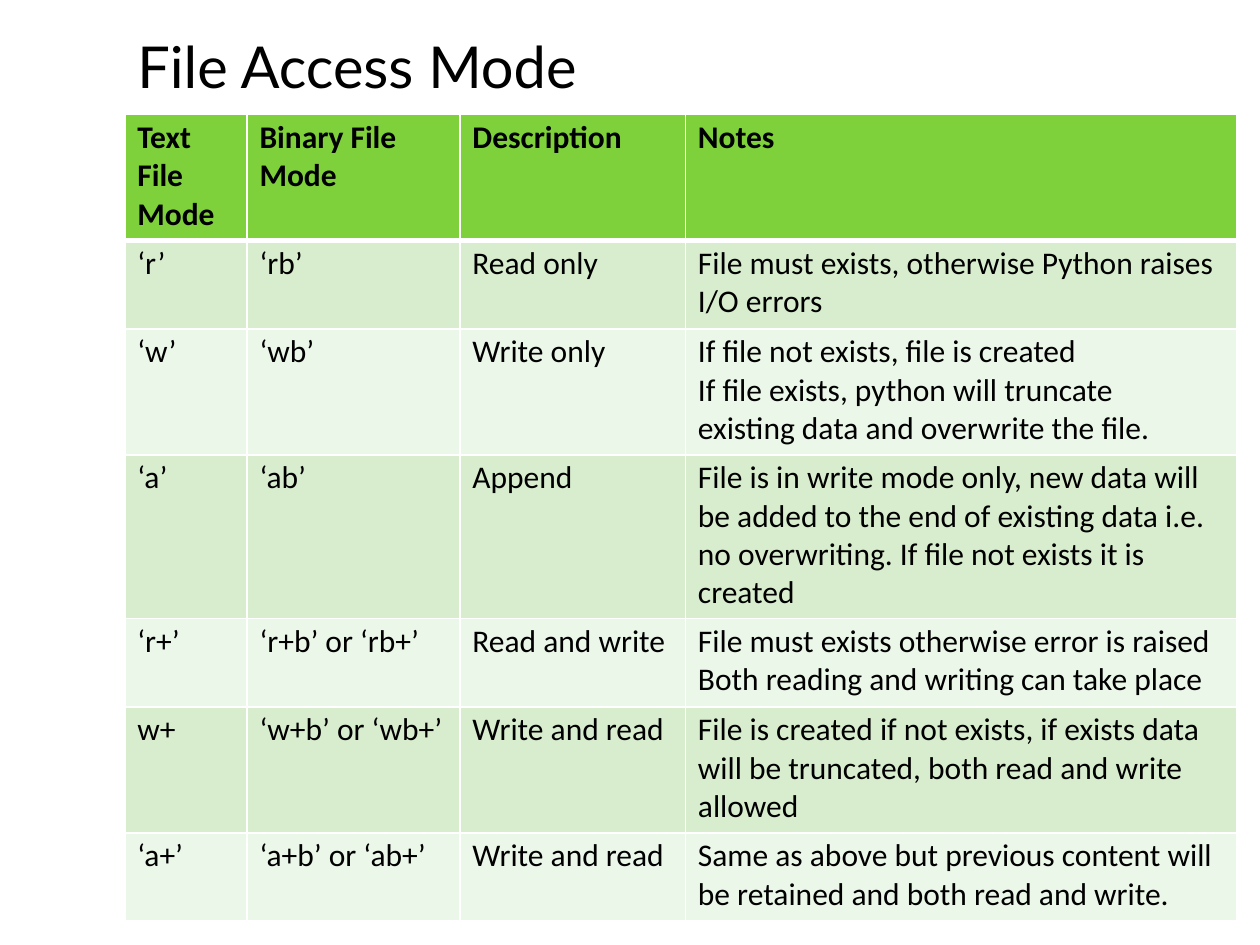
from lxml.etree import SubElement
from pptx import Presentation
from pptx.dml.color import RGBColor
from pptx.enum.text import MSO_ANCHOR, PP_ALIGN
from pptx.oxml.ns import qn
from pptx.util import Inches, Pt

COLUMN_WIDTHS = [0.97, 1.69, 1.79, 4.38]
ROW_HEIGHTS = [1, 0.7, 1, 1.3, 0.7, 1, 0.7]
HEADER_FILL = "7ED13A"
BAND_FILLS = ["EBF7E8", "D7EDCE"]

# One row per access mode; \n starts a paragraph, \v breaks a line
ROWS = [
    ["Text File Mode", "Binary File Mode", "Description", "Notes"],
    ["‘r’", "‘rb’", "Read only",
     "File must exists, otherwise Python raises\nI/O errors"],
    ["‘w’", "‘wb’", "Write only",
     "If file not exists, file is created\n"
     "If file exists, python will truncate \vexisting data and overwrite the file."],
    ["‘a’", "‘ab’", "Append",
     "File is in write mode only, new data will be added to the end of "
     "existing data i.e. no overwriting. If file not exists it is created"],
    ["‘r+’", "‘r+b’ or ‘rb+’", "Read and write",
     "File must exists otherwise error is raised "
     "Both reading and writing can take place"],
    ["w+", "‘w+b’ or ‘wb+’", "Write and read",
     "File is created if not exists, if exists data will be truncated, "
     "both read and write allowed"],
    ["‘a+’", "‘a+b’ or ‘ab+’", "Write and read",
     "Same as above but previous content will be retained and both read and write."],
]


def color(value):
    return RGBColor.from_string(value)


def style_font(font, name, size, bold=False):
    font.name, font.size, font.bold = name, Pt(size), bold
    font.color.rgb = color("000000")


def add_title(slide, text, left, top, width, height):
    title = slide.shapes.title
    title.left, title.top, title.width, title.height = map(
        Inches, (left, top, width, height))
    frame = title.text_frame
    frame.text = text
    frame.vertical_anchor = MSO_ANCHOR.MIDDLE
    frame.margin_left = frame.margin_right = frame.margin_bottom = 0
    frame.margin_top = Inches(0.01)
    paragraph = frame.paragraphs[0]
    paragraph.alignment = PP_ALIGN.LEFT
    style_font(paragraph.font, "Lato", 33)


def set_borders(cell, widths, line_color):
    """Draw the cell's borders; widths maps L, R, T, B to points."""
    properties = cell._tc.get_or_add_tcPr()
    for index, side in enumerate("LRTB"):
        line = SubElement(properties, qn(f"a:ln{side}"), w=str(Pt(widths[side])))
        fill = SubElement(line, qn("a:solidFill"))
        SubElement(fill, qn("a:srgbClr"), val=line_color)
        properties.insert(index, line)


def fill_cell(cell, text, row_index):
    is_header = row_index == 0
    cell.text = text
    cell.margin_left = cell.margin_right = Inches(0.1)
    cell.margin_top, cell.margin_bottom = Inches(0.03), 0
    for index, paragraph in enumerate(cell.text_frame.paragraphs):
        paragraph.space_before = Pt(0 if index else 2.5)
        style_font(paragraph.font, "Calibri", 18, is_header)
    cell.fill.solid()
    cell.fill.fore_color.rgb = color(
        HEADER_FILL if is_header else BAND_FILLS[row_index % 2])
    # A thicker rule separates the header from the body
    set_borders(cell, {"L": 1, "R": 1, "T": 3 if row_index == 1 else 1,
                       "B": 3 if is_header else 1}, "FFFFFF")


def add_mode_table(slide, left, top):
    table = slide.shapes.add_table(
        len(ROWS), len(COLUMN_WIDTHS), Inches(left), Inches(top),
        Inches(sum(COLUMN_WIDTHS)), Inches(sum(ROW_HEIGHTS))).table
    for column, width in zip(table.columns, COLUMN_WIDTHS):
        column.width = Inches(width)
    for row_index, (row, height) in enumerate(zip(table.rows, ROW_HEIGHTS)):
        row.height = Inches(height)
        for cell, text in zip(row.cells, ROWS[row_index]):
            fill_cell(cell, text, row_index)


def main():
    presentation = Presentation()
    presentation.slide_width, presentation.slide_height = Inches(10), Inches(7.5)
    slide = presentation.slides.add_slide(presentation.slide_layouts[5])
    add_title(slide, "File Access Mode", 1.09, 0.17, 4.69, 0.69)
    add_mode_table(slide, 0.99, 0.91)
    presentation.save("out.pptx")


if __name__ == "__main__":
    main()
